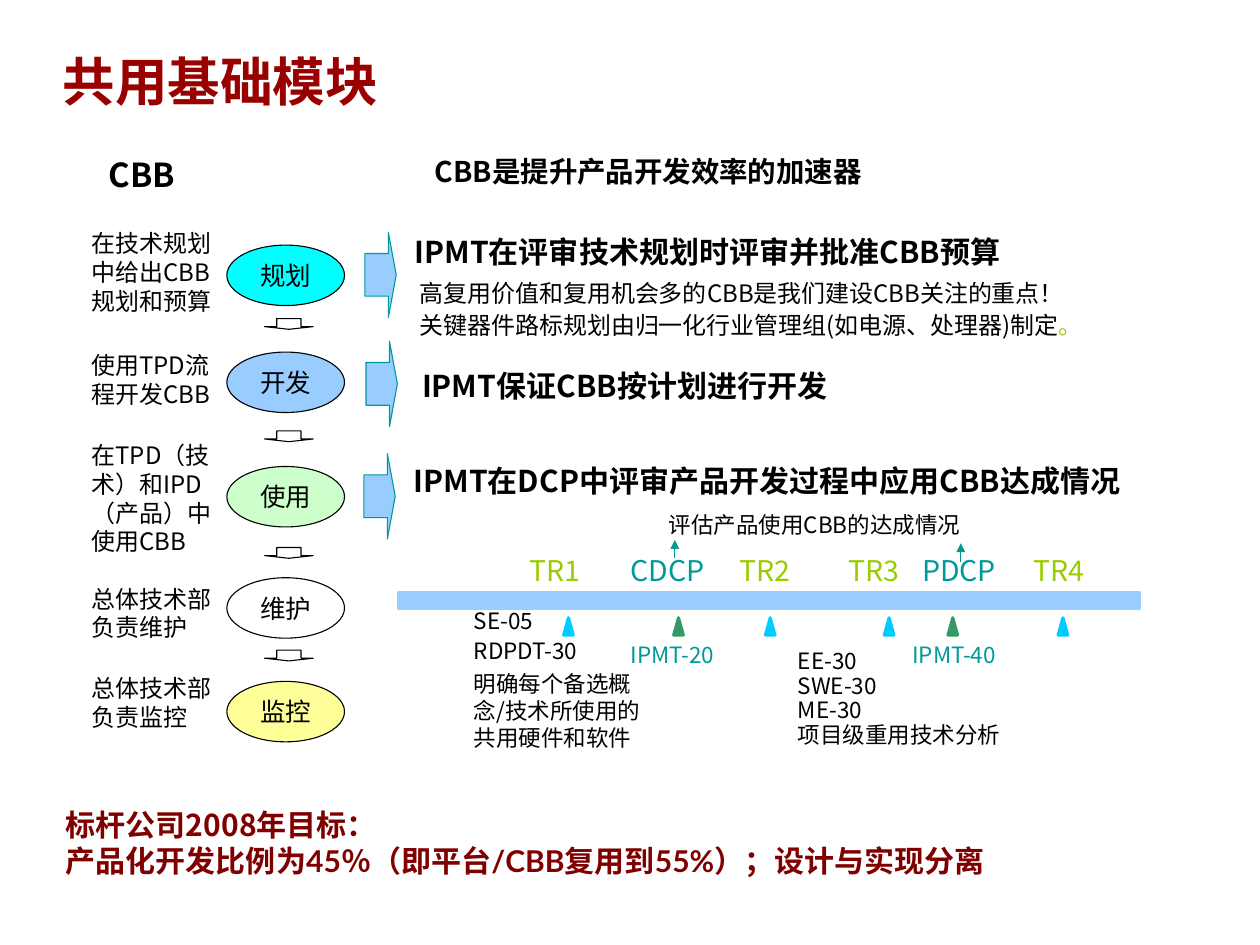
"""Build the slide on shared building blocks (CBB) with its lifecycle and review timeline."""
from dataclasses import dataclass
from typing import Optional

from lxml.etree import SubElement
from pptx import Presentation
from pptx.dml.color import RGBColor
from pptx.enum.shapes import MSO_CONNECTOR as Connector, MSO_SHAPE as Shape
from pptx.enum.text import MSO_ANCHOR as Anchor, PP_ALIGN as Align
from pptx.oxml.ns import qn
from pptx.util import Emu, Inches, Pt

SLIDE_WIDTH, SLIDE_HEIGHT = Inches(11.67), Inches(8.75)
COLUMN, ROW = SLIDE_WIDTH / 100, SLIDE_HEIGHT / 100
FONT, LATIN_FONT = "Noto Sans CJK SC", "Lato"
LINE_HEIGHT = 1.2
COLORS = {
    "title": "990000", "goal": "800000", "ink": "000000", "white": "FFFFFF",
    "sky": "99CCFF", "aqua": "00FFFF", "mint": "CCFFCC", "lemon": "FFFF99",
    "teal": "009999", "lime": "99CC00", "review": "00CCFF", "decision": "339966",
}


@dataclass(frozen=True)
class Box:
    x: float
    y: float
    w: float
    h: float


@dataclass(frozen=True)
class Line:
    text: str
    size: float
    color: str = "ink"
    bold: bool = False
    spacing: float = 1.0
    before: float = 0
    font: str = FONT
    ending: str = ""
    ending_color: str = "ink"


@dataclass(frozen=True)
class Stage:
    name: str
    color: str
    y: float
    duty: str
    duty_y: float
    duty_h: float
    next_y: Optional[float] = None


@dataclass(frozen=True)
class Review:
    text: str
    box: Box
    arrow_x: float
    arrow_y: float


@dataclass(frozen=True)
class Gate:
    name: str
    x: float
    marker_x: float
    budget: str = ""
    budget_x: float = 0
    pointer_x: float = 0
    pointer_y: float = 0


@dataclass(frozen=True)
class Passage:
    box: Box
    lines: tuple[Line, ...]
    align: Align = Align.LEFT
    anchor: Anchor = Anchor.TOP


STAGES = (
    Stage("规划", "aqua", 25.94, "在技术规划中给出CBB规划和预算", 23.66, 10.4, 33.71),
    Stage("开发", "sky", 37.26, "使用TPD流程开发CBB", 36.57, 10.4, 45.6),
    Stage("使用", "mint", 49.37, "在TPD（技术）和IPD（产品）中使用CBB", 46.06, 16.46, 57.94),
    Stage("维护", "white", 61.14, "总体技术部负责维护", 61.26, 7.31, 68.8),
    Stage("监控", "lemon", 72.11, "总体技术部负责监控", 70.74, 7.31),
)
REVIEWS = (
    Review("IPMT在评审技术规划时评审并批准CBB预算", Box(31.96, 24.11, 58, 5), 28.96, 24.57),
    Review("IPMT保证CBB按计划进行开发", Box(32.56, 38.29, 58, 5), 29.05, 36.11),
    Review("IPMT在DCP中评审产品开发过程中应用CBB达成情况", Box(31.88, 48.34, 65.4, 5), 28.88, 48),
)
GATES = (
    Gate("TR1", 41.05, 44.73),
    Gate("CDCP", 49.1, 53.47, "IPMT-20", 49.1, 53.56, 57.14),
    Gate("TR2", 57.75, 60.75),
    Gate("TR3", 66.41, 70.18),
    Gate("PDCP", 72.24, 75.24, "IPMT-40", 71.47, 76.26, 57.49),
    Gate("TR4", 81.06, 83.98),
)
PASSAGES = (
    Passage(Box(4.03, 4.8, 73.4, 7.66), (Line("共用基础模块", 35, "title", True, 0.9),),
            anchor=Anchor.BOTTOM),
    Passage(Box(7.71, 14.06, 14.6, 8.1), (Line("CBB", 22, bold=True, spacing=1.4),)),
    Passage(Box(33.33, 15.77, 36.25, 8.46),
            (Line("CBB是提升产品开发效率的加速器", 19, bold=True),), Align.CENTER),
    Passage(Box(32.39, 28.91, 55.27, 7.66), (
        Line("高复用价值和复用机会多的CBB是我们建设CBB关注的重点！", 16, before=2),
        Line("关键器件路标规划由归一化行业管理组(如电源、处理器)制定", 16, before=2,
             ending="。", ending_color="lime"))),
    Passage(Box(48.84, 53.49, 31.6, 4.1), (Line("评估产品使用CBB的达成情况", 15),), Align.CENTER),
    Passage(Box(36.68, 64, 15.25, 18.97), (
        Line("SE-05", 15, spacing=0.9, before=3.7),
        Line("RDPDT-30", 15, spacing=0.9, before=3.7),
        Line("明确每个备选概念/技术所使用的共用硬件和软件", 15, before=3.7))),
    Passage(Box(62.38, 68.8, 18.34, 10.97), tuple(
        Line(task, 15, spacing=0.7, before=3.7)
        for task in ("EE-30", "SWE-30", "ME-30", "项目级重用技术分析"))),
    Passage(Box(4.28, 84.8, 90.4, 8.9), (
        Line("标杆公司2008年目标：", 20, "goal", True),
        Line("产品化开发比例为45％（即平台/CBB复用到55%）；设计与实现分离", 20, "goal", True,
             font=LATIN_FONT))),
)


def rgb(color: str) -> RGBColor:
    return RGBColor.from_string(COLORS[color])


def place(box: Box) -> tuple[Emu, Emu, Emu, Emu]:
    return (Emu(round(box.x * COLUMN)), Emu(round(box.y * ROW)),
            Emu(round(box.w * COLUMN)), Emu(round(box.h * ROW)))


def write(frame, lines: tuple[Line, ...], align: Align, anchor: Anchor, wrap: bool) -> None:
    frame.word_wrap = wrap
    frame.vertical_anchor = anchor
    frame.margin_left = frame.margin_right = Inches(0.11)
    frame.margin_top = frame.margin_bottom = Inches(0.05)
    for index, line in enumerate(lines):
        paragraph = frame.add_paragraph() if index else frame.paragraphs[0]
        paragraph.alignment = align
        paragraph.line_spacing = Pt(line.size * LINE_HEIGHT * line.spacing)
        paragraph.space_before = Pt(line.before)
        font = paragraph.font
        font.size, font.bold, font.name = Pt(line.size), line.bold, line.font
        font.color.rgb = rgb(line.color)
        defaults = paragraph._p.find(f"{qn('a:pPr')}/{qn('a:defRPr')}")
        SubElement(defaults, qn("a:ea"), typeface=FONT)
        paragraph.add_run().text = line.text
        if line.ending:
            ending = paragraph.add_run()
            ending.text = line.ending
            ending.font.color.rgb = rgb(line.ending_color)


def add_passage(slide, passage: Passage) -> None:
    frame = slide.shapes.add_textbox(*place(passage.box)).text_frame
    write(frame, passage.lines, passage.align, passage.anchor, True)


def add_figure(slide, kind: Shape, box: Box, fill: Optional[str], outline: str,
               width: float = 0.75):
    figure = slide.shapes.add_shape(kind, *place(box))
    figure.shadow.inherit = False
    if fill:
        figure.fill.solid()
        figure.fill.fore_color.rgb = rgb(fill)
    else:
        figure.fill.background()
    figure.line.color.rgb = rgb(outline)
    figure.line.width = Pt(width)
    return figure


def add_pointer(slide, gate: Gate) -> None:
    x, top, _, height = place(Box(gate.pointer_x, gate.pointer_y, 0, 1.94))
    pointer = slide.shapes.add_connector(Connector.STRAIGHT, x, top + height, x, top)
    pointer.line.color.rgb = rgb("teal")
    pointer.line.width = Pt(0.75)
    properties = pointer._element.spPr
    SubElement(properties.find(qn("a:ln")), qn("a:tailEnd"), type="triangle")
    SubElement(properties, qn("a:effectLst"))


def add_stage(slide, stage: Stage) -> None:
    oval = add_figure(slide, Shape.OVAL, Box(18, stage.y, 9.34, 6.4), stage.color, "ink")
    write(oval.text_frame, (Line(stage.name, 17),), Align.CENTER, Anchor.MIDDLE, False)
    duty_box = Box(6.34, stage.duty_y, 11.74, stage.duty_h)
    add_passage(slide, Passage(duty_box, (Line(stage.duty, 16),)))
    if stage.next_y:
        arrow = add_figure(slide, Shape.DOWN_ARROW, Box(21, stage.next_y, 3.86, 1.14), None, "ink")
        arrow.adjustments[1] = 0.25


def add_review(slide, review: Review) -> None:
    add_passage(slide, Passage(review.box, (Line(review.text, 20, bold=True),)))
    arrow_box = Box(review.arrow_x, review.arrow_y, 2.49, 9.03)
    arrow = add_figure(slide, Shape.RIGHT_ARROW, arrow_box, "sky", "teal")
    arrow.adjustments[1] = 0.25


def add_gate(slide, gate: Gate) -> None:
    marker, ink = ("decision", "teal") if gate.budget else ("review", "lime")
    add_figure(slide, Shape.ISOSCELES_TRIANGLE, Box(gate.marker_x, 65.37, 0.77, 1.83),
               marker, marker, 2)
    name_box = Box(gate.x, 57.94, 8.7 if gate.budget else 6.6, 4.8)
    add_passage(slide, Passage(name_box, (Line(gate.name, 19, ink),)))
    if gate.budget:
        budget_box = Box(gate.budget_x, 67.31, 10.2, 4.1)
        add_passage(slide, Passage(budget_box, (Line(gate.budget, 15, ink),)))
        add_pointer(slide, gate)


def main() -> None:
    deck = Presentation()
    deck.slide_width, deck.slide_height = SLIDE_WIDTH, SLIDE_HEIGHT
    slide = deck.slides.add_slide(deck.slide_layouts[6])
    add_figure(slide, Shape.RECTANGLE, Box(31.62, 62.63, 58.87, 1.83), "sky", "sky", 1.5)
    for items, draw in ((PASSAGES, add_passage), (STAGES, add_stage),
                        (REVIEWS, add_review), (GATES, add_gate)):
        for item in items:
            draw(slide, item)
    deck.save("out.pptx")


if __name__ == "__main__":
    main()
